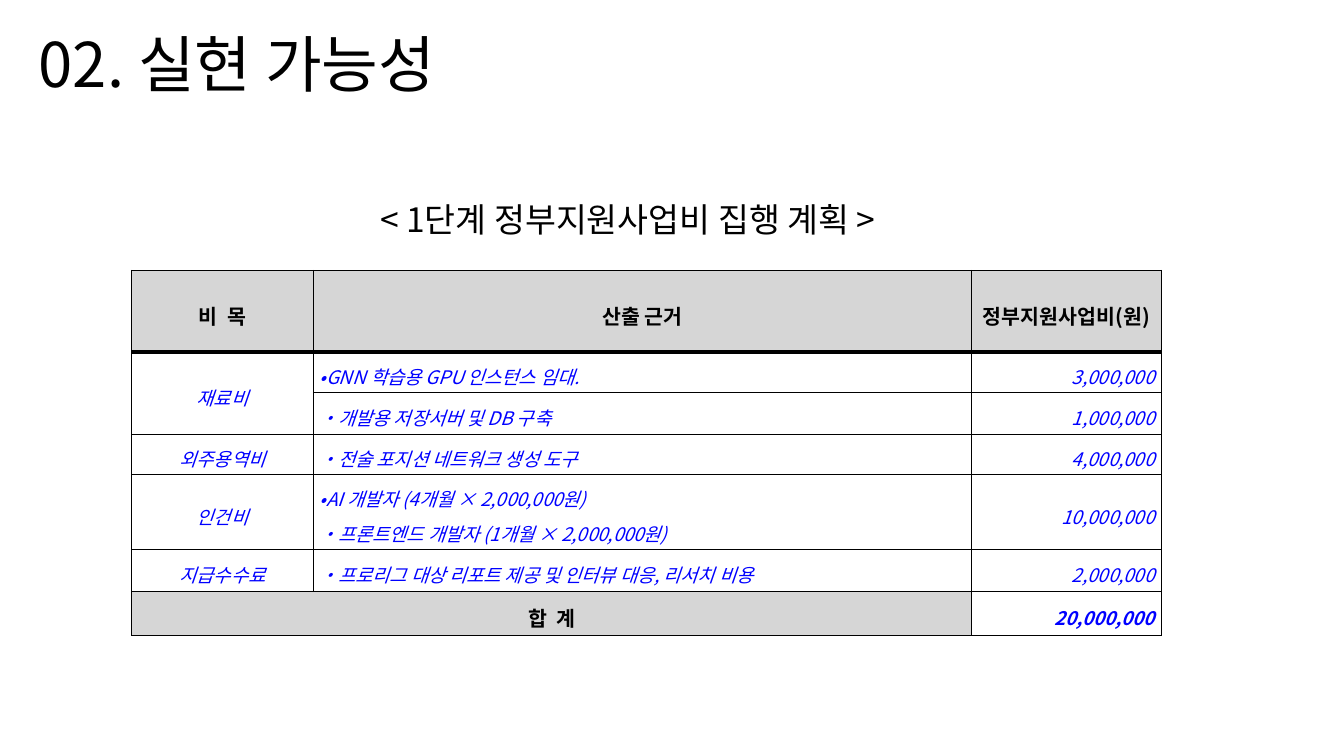
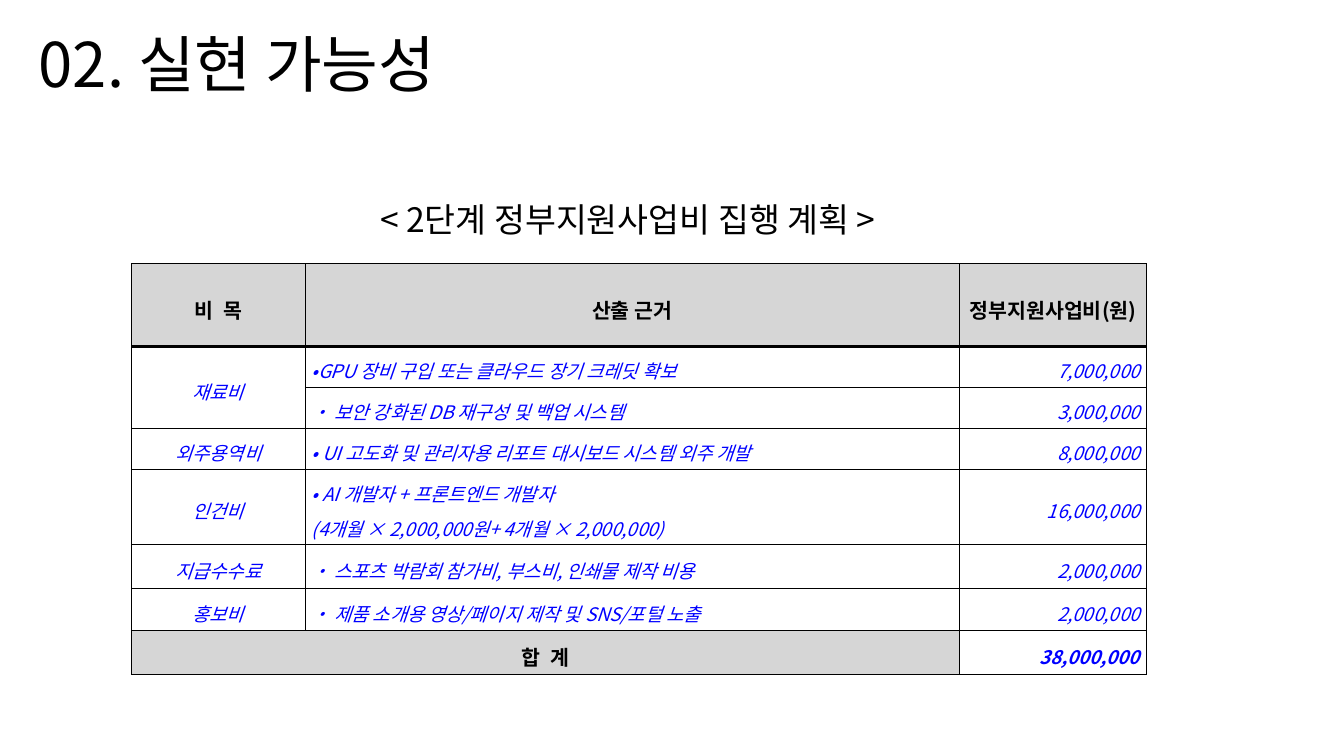
from dataclasses import dataclass

from lxml import etree
from pptx import Presentation
from pptx import util as u
from pptx.dml.color import RGBColor
from pptx.enum import text
from pptx.oxml.ns import qn


@dataclass(frozen=True)
class Theme:
    font: str = "Noto Sans CJK KR"
    caption_font: str = "Calibri"
    ink: str = "000000"
    entry: str = "0000FF"
    band: str = "D6D6D6"
    title_size: float = 33
    caption_size: float = 18
    heading_size: float = 11
    entry_size: float = 10
    thin: float = 0.3
    thick: float = 1.95
    cell_spacing: float = 1.3
    inset: float = 0.02
    side_inset: float = 0.05


THEME = Theme()
LEFT, CENTER, RIGHT = text.PP_ALIGN.LEFT, text.PP_ALIGN.CENTER, text.PP_ALIGN.RIGHT
TITLE = "02. 실현 가능성"
HEADINGS = ["비  목", "산출 근거", "정부지원사업비(원)"]
TOTAL = "합  계"

# Each item: category, list of (basis lines, amount)
STAGES = [
    {
        "number": 1,
        "top": 2.01,
        "columns": [1.35, 4.9, 1.41],
        "rows": [0.61, 0.3, 0.31, 0.3, 0.56, 0.31, 0.33],
        "items": [
            ("재료비", [(["•GNN 학습용 GPU 인스턴스 임대."], 3_000_000),
                     (["•개발용 저장서버 및 DB 구축"], 1_000_000)]),
            ("외주용역비", [(["•전술 포지션 네트워크 생성 도구"], 4_000_000)]),
            ("인건비", [(["•AI 개발자 (4개월 × 2,000,000원)",
                       "•프론트엔드 개발자 (1개월 × 2,000,000원)"], 10_000_000)]),
            ("지급수수료", [(["•프로리그 대상 리포트 제공 및 인터뷰 대응, 리서치 비용"], 2_000_000)]),
        ],
    },
    {
        "number": 2,
        "top": 1.96,
        "columns": [1.29, 4.87, 1.39],
        "rows": [0.62, 0.3, 0.31, 0.3, 0.56, 0.33, 0.31, 0.33],
        "items": [
            ("재료비", [(["•GPU 장비 구입 또는 클라우드 장기 크레딧 확보"], 7_000_000),
                     (["• 보안 강화된 DB 재구성 및 백업 시스템"], 3_000_000)]),
            ("외주용역비", [(["• UI 고도화 및 관리자용 리포트 대시보드 시스템 외주 개발"], 8_000_000)]),
            ("인건비", [(["• AI 개발자 + 프론트엔드 개발자",
                       "(4개월 × 2,000,000원+ 4개월 × 2,000,000)"], 16_000_000)]),
            ("지급수수료", [(["• 스포츠 박람회 참가비, 부스비, 인쇄물 제작 비용"], 2_000_000)]),
            ("홍보비", [(["• 제품 소개용 영상/페이지 제작 및 SNS/포털 노출"], 2_000_000)]),
        ],
    },
]


def format_span(span, size, color=THEME.ink, font=THEME.font, bold=False, italic=False):
    span.font.size = u.Pt(size)
    span.font.name = font
    span.font.bold = bold
    span.font.italic = italic
    span.font.color.rgb = RGBColor.from_string(color)
    east_asian = etree.Element(qn("a:ea"), typeface=THEME.font)
    span.font._element.find(qn("a:latin")).addnext(east_asian)


def add_text_box(page, left, top, width, height):
    box = page.shapes.add_textbox(*map(u.Inches, (left, top, width, height)))
    box.text_frame.word_wrap = True
    return box.text_frame


def add_title(page):
    frame = add_text_box(page, 0.19, 0.19, 8.44, 0.62)
    frame.margin_top = frame.margin_bottom = u.Inches(0.1)
    frame.vertical_anchor = text.MSO_ANCHOR.MIDDLE
    frame.text = TITLE
    para = frame.paragraphs[0]
    para.line_spacing = 0.9
    format_span(para.runs[0], THEME.title_size)


def add_caption(page, number):
    para = add_text_box(page, 2.73, 1.43, 6.3, 0.64).paragraphs[0]
    pieces = [(f"< {number}", THEME.font),
              ("단계 정부지원사업비 집행 계획 ", THEME.caption_font),
              (">", THEME.font)]
    for words, font in pieces:
        span = para.add_run()
        span.text = words
        format_span(span, THEME.caption_size, font=font)


def set_border(cell, **widths):
    """Draw all four sides of a cell; widths names the sides that are not thin."""
    properties = cell._tc.get_or_add_tcPr()
    for index, side in enumerate(("L", "R", "T", "B")):
        width = u.Pt(widths.get(side, THEME.thin))
        line = etree.Element(qn(f"a:ln{side}"), w=str(int(width)))
        fill = etree.SubElement(line, qn("a:solidFill"))
        etree.SubElement(fill, qn("a:srgbClr"), val=THEME.ink)
        properties.insert(index, line)


def fill_cell(cell, words, align, **style):
    cell.text = words
    cell.vertical_anchor = text.MSO_ANCHOR.MIDDLE
    cell.margin_top = cell.margin_bottom = u.Inches(THEME.inset)
    cell.margin_left = u.Inches(THEME.side_inset if align == LEFT else THEME.inset)
    cell.margin_right = u.Inches(THEME.side_inset if align == RIGHT else THEME.inset)
    for para in cell.text_frame.paragraphs:
        para.alignment = align
        para.line_spacing = THEME.cell_spacing
        for span in para.runs:
            format_span(span, **style)


def fill_heading(cell, words):
    fill_cell(cell, words, CENTER, size=THEME.heading_size, bold=True)


def fill_entry(cell, words, align, bold=False):
    fill_cell(cell, words, align, size=THEME.entry_size, color=THEME.entry,
              bold=bold, italic=True)


def style_grid(table):
    """Shade the heading and total bands and rule every cell."""
    last = len(table.rows) - 1
    heavy = {0: {"B": THEME.thick}, 1: {"T": THEME.thick}}
    for row_index, row in enumerate(table.rows):
        for column_index, cell in enumerate(row.cells):
            if row_index == 0 or (row_index == last and column_index < 2):
                cell.fill.solid()
                cell.fill.fore_color.rgb = RGBColor.from_string(THEME.band)
            else:
                cell.fill.background()
            set_border(cell, **heavy.get(row_index, {}))


def add_budget_table(page, stage):
    columns, rows = stage["columns"], stage["rows"]
    frame = page.shapes.add_table(
        len(rows), len(columns), u.Inches(0.98), u.Inches(stage["top"]),
        u.Inches(sum(columns)), u.Inches(sum(rows)))
    table = frame.table
    table.first_row = table.horz_banding = False
    for column, width in zip(table.columns, columns):
        column.width = u.Inches(width)
    for row, height in zip(table.rows, rows):
        row.height = u.Inches(height)
    style_grid(table)

    for index, heading in enumerate(HEADINGS):
        fill_heading(table.cell(0, index), heading)
    row, total = 1, 0
    for category, entries in stage["items"]:
        fill_entry(table.cell(row, 0), category, CENTER)
        if len(entries) > 1:
            table.cell(row, 0).merge(table.cell(row + len(entries) - 1, 0))
        for lines, amount in entries:
            fill_entry(table.cell(row, 1), "\n".join(lines), LEFT)
            fill_entry(table.cell(row, 2), f"{amount:,}", RIGHT)
            total += amount
            row += 1
    fill_heading(table.cell(row, 0), TOTAL)
    table.cell(row, 0).merge(table.cell(row, 1))
    fill_entry(table.cell(row, 2), f"{total:,}", RIGHT, bold=True)


def main():
    deck = Presentation()
    deck.slide_width = u.Inches(10)
    deck.slide_height = deck.slide_width * 9 // 16
    for stage in STAGES:
        page = deck.slides.add_slide(deck.slide_layouts[6])
        add_title(page)
        add_budget_table(page, stage)
        add_caption(page, stage["number"])
    deck.save("out.pptx")


if __name__ == "__main__":
    main()
